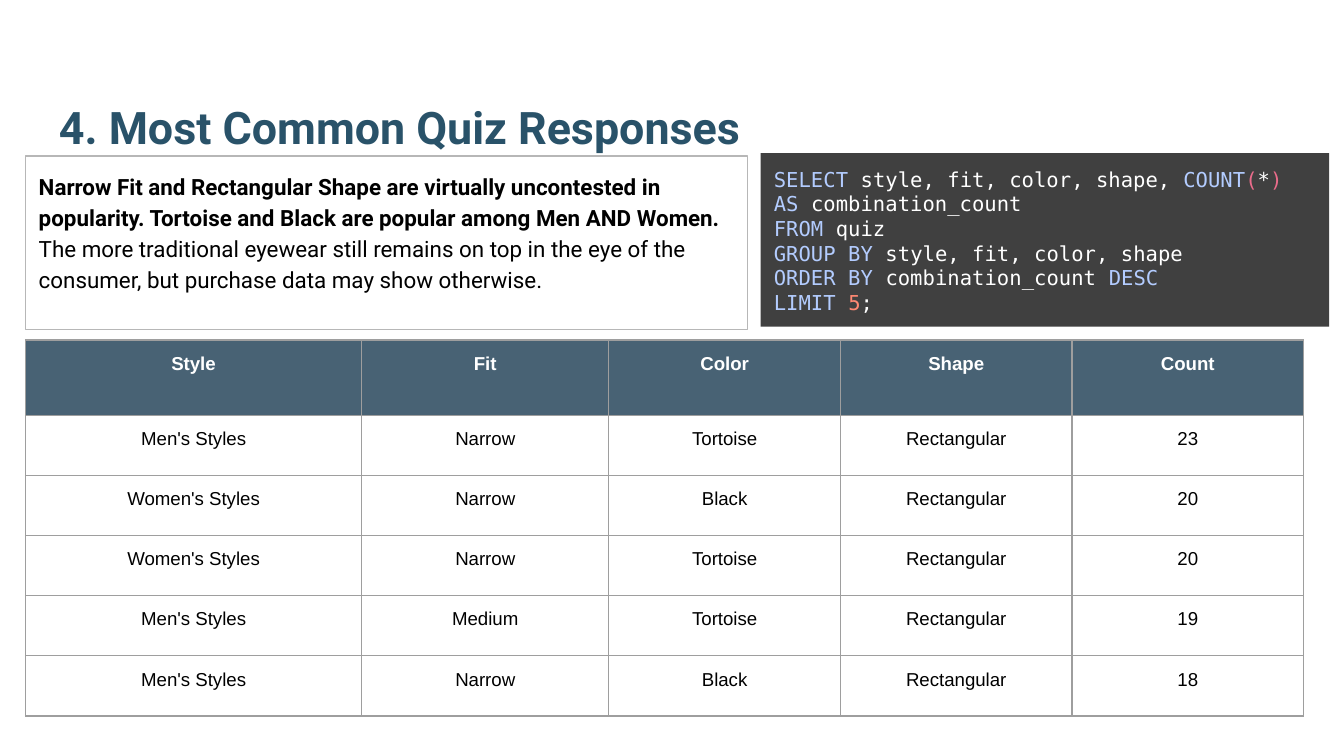
from lxml.etree import SubElement
from pptx import Presentation
from pptx.dml.color import RGBColor
from pptx.enum.shapes import MSO_SHAPE
from pptx.enum.text import MSO_ANCHOR, PP_ALIGN
from pptx.oxml import parse_xml
from pptx.oxml.ns import nsdecls, qn
from pptx.util import Inches, Pt

COLORS = {
    "title": "295269",
    "text": "000000",
    "frame": "B7B7B7",
    "header": "204056",
    "grid": "9E9E9E",
    "code_back": "404040",
    "keyword": "B3CCFF",
    "plain": "FFFFFF",
    "paren": "EA6C8B",
    "number": "FF8973",
}

FINDINGS = [
    ("Narrow Fit and Rectangular Shape are virtually uncontested in popularity. "
     "Tortoise and Black are popular among Men AND Women.", True),
    ("The more traditional eyewear still remains on top in the eye of the "
     "consumer, but purchase data may show otherwise.", False),
]

QUERY = [
    [("SELECT", "keyword"), (" style, fit, color, shape, ", "plain"),
     ("COUNT", "keyword"), ("(", "paren"), ("*", "plain"), (") ", "paren"),
     ("AS ", "keyword"), ("combination_count", "plain")],
    [("FROM", "keyword"), (" quiz", "plain")],
    [("GROUP BY", "keyword"), (" style, fit, color, shape", "plain")],
    [("ORDER BY ", "keyword"), ("combination_count ", "plain"), ("DESC", "keyword")],
    [("LIMIT ", "keyword"), ("5", "number"), (";", "plain")],
]

RESPONSES = [
    ("Style", "Fit", "Color", "Shape", "Count"),
    ("Men's Styles", "Narrow", "Tortoise", "Rectangular", "23"),
    ("Women's Styles", "Narrow", "Black", "Rectangular", "20"),
    ("Women's Styles", "Narrow", "Tortoise", "Rectangular", "20"),
    ("Men's Styles", "Medium", "Tortoise", "Rectangular", "19"),
    ("Men's Styles", "Narrow", "Black", "Rectangular", "18"),
]


def rgb(name):
    return RGBColor.from_string(COLORS[name])


def set_font(font, face, size, color=None, bold=False):
    font.name = face
    font.size = Pt(size)
    font.bold = bold
    if color:
        font.color.rgb = rgb(color)


def set_margins(area):
    area.margin_left = area.margin_right = Inches(0.1)
    area.margin_top = area.margin_bottom = Inches(0.1)


def prepare_frame(shape, anchor=MSO_ANCHOR.TOP):
    frame = shape.text_frame
    frame.word_wrap = True
    frame.vertical_anchor = anchor
    set_margins(frame)
    return frame


def paragraphs_for(frame, items):
    for index, item in enumerate(items):
        paragraph = frame.add_paragraph() if index else frame.paragraphs[0]
        paragraph.alignment = PP_ALIGN.LEFT
        yield paragraph, item


def add_panel(slide, box, fill=None, line=None):
    panel = slide.shapes.add_shape(MSO_SHAPE.RECTANGLE, *map(Inches, box))
    panel.shadow.inherit = False
    if fill:
        panel.fill.solid()
        panel.fill.fore_color.rgb = rgb(fill)
    else:
        panel.fill.background()
    if line:
        panel.line.color.rgb = rgb(line)
        panel.line.width = Pt(0.75)
    else:
        panel.line.fill.background()
    return prepare_frame(panel)


def add_title(slide, box):
    title = slide.shapes.add_textbox(*map(Inches, box))
    paragraph = prepare_frame(title, MSO_ANCHOR.BOTTOM).paragraphs[0]
    paragraph.text = "4. Most Common Quiz Responses"
    set_font(paragraph.font, "Roboto", 24, "title", True)


def add_query(slide, box):
    frame = add_panel(slide, box, fill="code_back")
    for paragraph, tokens in paragraphs_for(frame, QUERY):
        set_font(paragraph.font, "DejaVu Sans Mono", 11)
        for text, color in tokens:
            token = paragraph.add_run()
            token.text = text
            token.font.color.rgb = rgb(color)


def add_findings(slide, box):
    frame = add_panel(slide, box, line="frame")
    for paragraph, (text, bold) in paragraphs_for(frame, FINDINGS):
        paragraph.text = text
        paragraph.line_spacing = 1.15
        set_font(paragraph.font, "Roboto", 12, "text", bold)


def set_borders(cell):
    properties = cell._tc.get_or_add_tcPr()
    for index, side in enumerate(("lnL", "lnR", "lnT", "lnB")):
        border = parse_xml(
            f'<a:{side} {nsdecls("a")} w="{Pt(0.75)}"><a:solidFill>'
            f'<a:srgbClr val="{COLORS["grid"]}"/></a:solidFill></a:{side}>')
        properties.insert(index, border)


def fill_header(cell):
    cell.fill.solid()
    cell.fill.fore_color.rgb = rgb("header")
    color = cell._tc.tcPr.find(f'{qn("a:solidFill")}/{qn("a:srgbClr")}')
    SubElement(color, qn("a:alpha"), val="82000")


def add_responses(slide, box):
    width, height = box[2:]
    style_width, fit_width, header_height = 2.5, 1.84, 0.56
    other_width = (width - style_width - fit_width) / 3
    body_height = (height - header_height) / (len(RESPONSES) - 1)
    widths = [style_width, fit_width] + [other_width] * 3

    table = slide.shapes.add_table(
        len(RESPONSES), len(widths), *map(Inches, box)).table
    table.first_row = table.horz_banding = False
    for column, column_width in zip(table.columns, widths):
        column.width = Inches(column_width)
    for index, (row, texts) in enumerate(zip(table.rows, RESPONSES)):
        is_header = index == 0
        row.height = Inches(header_height if is_header else body_height)
        for cell, text in zip(row.cells, texts):
            if is_header:
                fill_header(cell)
            else:
                cell.fill.background()
            set_borders(cell)
            set_margins(cell)
            paragraph = cell.text_frame.paragraphs[0]
            paragraph.text = text
            paragraph.alignment = PP_ALIGN.CENTER
            set_font(paragraph.font, "Arial", 10,
                     "plain" if is_header else "text", is_header)


def main():
    deck = Presentation()
    deck.slide_width = Inches(10)
    deck.slide_height = deck.slide_width * 9 // 16
    slide = deck.slides.add_slide(deck.slide_layouts[6])
    add_title(slide, (0.34, 0.32, 9.32, 0.92))
    add_query(slide, (5.66, 1.14, 4.23, 1.29))
    add_findings(slide, (0.19, 1.16, 5.37, 1.29))
    add_responses(slide, (0.19, 2.53, 9.51, 2.8))
    deck.save("out.pptx")


if __name__ == "__main__":
    main()
